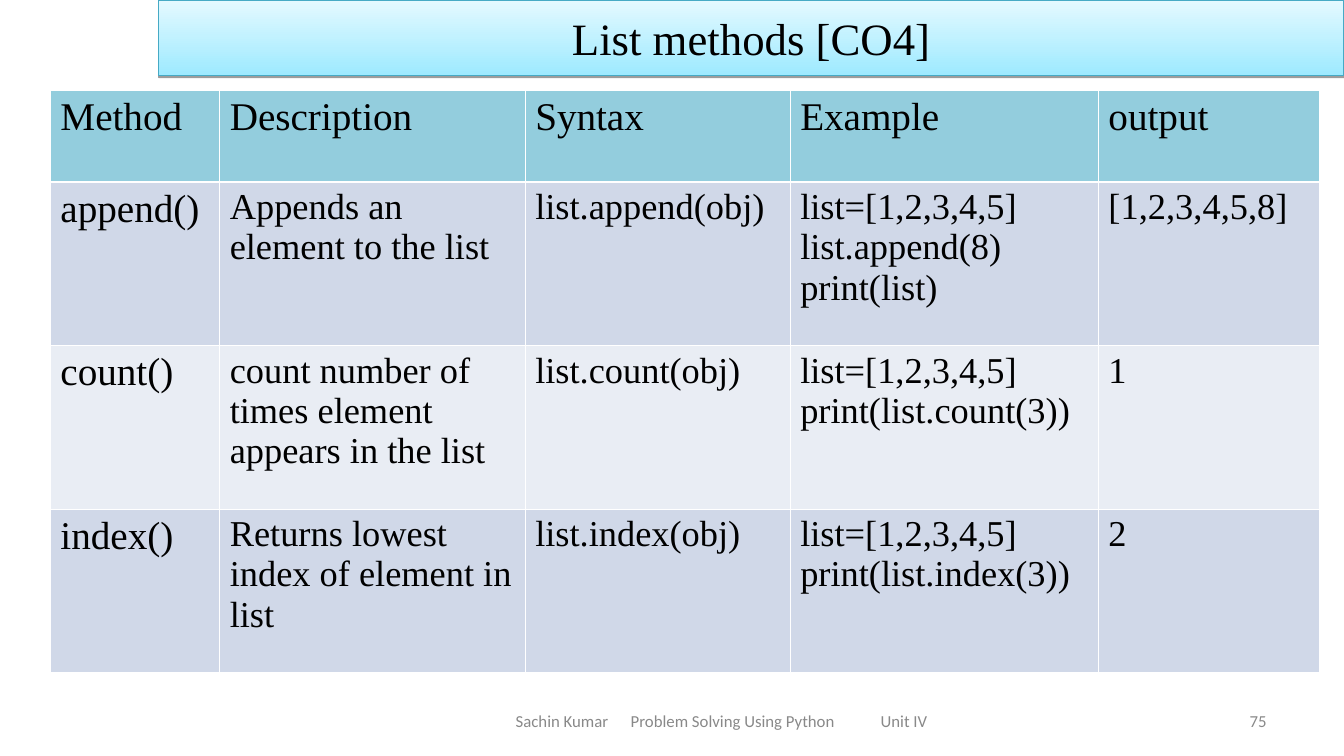
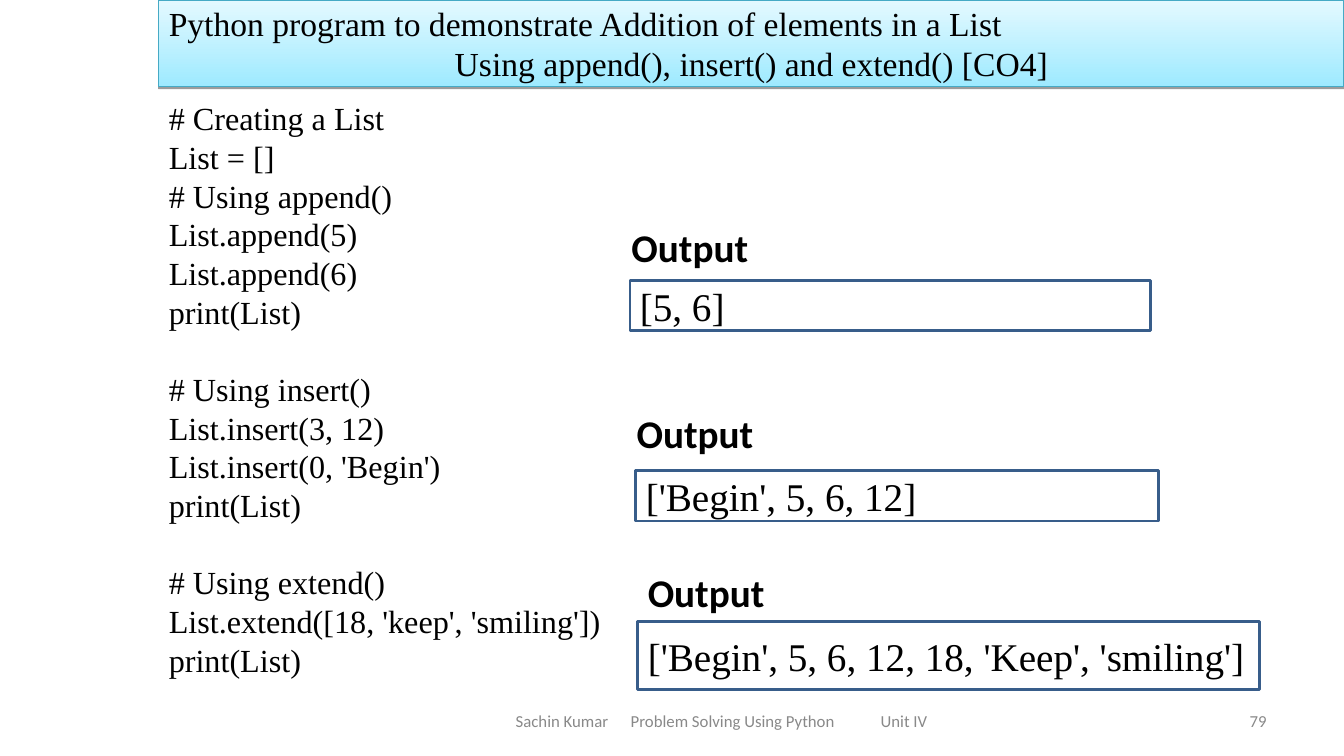
"""Builds two lecture slides on Python list methods."""
from lxml import etree
from pptx import Presentation
from pptx.dml.color import RGBColor
from pptx.enum.shapes import MSO_SHAPE
from pptx.enum.text import MSO_ANCHOR, MSO_AUTO_SIZE, PP_ALIGN
from pptx.oxml import parse_xml
from pptx.oxml.ns import nsdecls, qn
from pptx.util import Cm, Pt

LEFT, CENTER, RIGHT = PP_ALIGN.LEFT, PP_ALIGN.CENTER, PP_ALIGN.RIGHT
TOP, MIDDLE = MSO_ANCHOR.TOP, MSO_ANCHOR.MIDDLE
NO_FIT, RECTANGLE = MSO_AUTO_SIZE.NONE, MSO_SHAPE.RECTANGLE
SERIF, SANS = "Times New Roman", "Calibri"
CONTENT_LAYOUT, TITLE_LAYOUT = 1, 5
WIDTH, HEIGHT, BAND_LEFT = 33.88, 19.05, 4
COLORS = {
    "text": "000000", "muted": "898989", "white": "FFFFFF",
    "band_low": "9EEAFF", "band_high": "E4F9FF", "band_line": "46AAC5",
    "output_line": "385D8A", "header": "93CDDD", "odd": "D0D8E8", "even": "E9EDF4",
}
FOOTER = ["Sachin Kumar", "\tProblem Solving Using Python", "\tUnit IV"]
FOOTER_TABS = [2.9, 9.2]


def rgb(name):
    return RGBColor.from_string(COLORS[name])


class Lecture:
    """Holds the deck style and the current slide."""

    def __init__(self):
        self.deck = Presentation()
        self.deck.slide_width, self.deck.slide_height = Cm(WIDTH), Cm(HEIGHT)
        self.slide = None

    def place(self, shape, left, top, width, height):
        shape.left, shape.top = Cm(left), Cm(top)
        shape.width, shape.height = Cm(width), Cm(height)

    def frame(self, shape, anchor):
        frame = shape.text_frame
        frame.word_wrap, frame.auto_size = True, NO_FIT
        frame.vertical_anchor = anchor
        return frame

    def paragraph(self, frame, index, runs, size, font=SERIF, color="text", bold=False,
                  align=LEFT, tabs=(), plain=False, leading=None, before=None):
        line = frame.paragraphs[0] if index == 0 else frame.add_paragraph()
        props = line._p.get_or_add_pPr()
        if plain:
            props.set("marL", "0")
            props.set("indent", "0")
            etree.SubElement(props, qn("a:buNone"))
        if tabs:
            stops = etree.SubElement(props, qn("a:tabLst"))
            for stop in tabs:
                etree.SubElement(stops, qn("a:tab"), pos=str(Cm(stop)), algn="l")
        line.alignment = align
        if leading:
            line.line_spacing = Pt(leading)
        if before is not None:
            line.space_before = Pt(before)
        for words in runs:
            run = line.add_run()
            run.text = words
            run.font.name, run.font.size, run.font.bold = font, Pt(size), bold
            run.font.color.rgb = rgb(color)

    def text(self, left, top, width, height, runs, size, anchor=TOP, **style):
        box = self.slide.shapes.add_textbox(Cm(left), Cm(top), Cm(width), Cm(height))
        self.paragraph(self.frame(box, anchor), 0, runs, size, **style)

    def start(self, layout, number, title_lines, size, band_height):
        self.slide = self.deck.slides.add_slide(self.deck.slide_layouts[layout])
        self.band(title_lines, size, band_height)
        muted = {"font": SANS, "color": "muted", "anchor": MIDDLE}
        self.text(12.75, 17.65, 12.5, 1.02, FOOTER, 12, tabs=FOOTER_TABS, **muted)
        self.text(24.28, 17.65, 7.9, 1.02, [number], 12, align=RIGHT, **muted)

    def band(self, lines, size, height):
        band = self.slide.shapes.title
        self.place(band, BAND_LEFT, 0, WIDTH - BAND_LEFT, height)
        band.fill.gradient()
        band.fill.gradient_angle = 90
        for stop, name in zip(band.fill.gradient_stops, ("band_low", "band_high")):
            stop.color.rgb = rgb(name)
        band.line.color.rgb, band.line.width = rgb("band_line"), Pt(0.75)
        band._element.spPr.append(parse_xml(
            f'<a:effectLst {nsdecls("a")}><a:outerShdw dist="20320" dir="5400000" '
            f'rotWithShape="0"><a:srgbClr val="{COLORS["text"]}"><a:alpha val="38000"/>'
            '</a:srgbClr></a:outerShdw></a:effectLst>'))
        frame = self.frame(band, MIDDLE)
        for index, (words, align) in enumerate(lines):
            self.paragraph(frame, index, [words], size, align=align,
                           leading=1.2 * size if len(lines) > 1 else None)

    def code(self, left, top, width, height, blocks, size):
        body = self.slide.placeholders[1]
        self.place(body, left, top, width, height)
        frame = self.frame(body, TOP)
        leading = 1.2 * size
        index = 0
        for block in blocks:
            for position, words in enumerate(block):
                gap = leading if index and position == 0 else 0
                self.paragraph(frame, index, [words], size, plain=True,
                               leading=leading, before=gap)
                index += 1

    def output(self, label_at, box_at, result):
        box = self.slide.shapes.add_shape(RECTANGLE, *map(Cm, box_at))
        box.shadow.inherit = False
        box.fill.solid()
        box.fill.fore_color.rgb = rgb("white")
        box.line.color.rgb, box.line.width = rgb("output_line"), Pt(2)
        self.paragraph(self.frame(box, MIDDLE), 0, [result], 28)
        self.text(*label_at, 4.11, 1.45, ["Output"], 28, font=SANS, bold=True)

    def borders(self, cell, row):
        props = cell._tc.get_or_add_tcPr()
        for index, side in enumerate("LRTB"):
            heavy = (row, side) in ((0, "B"), (1, "T"))
            props.insert(index, parse_xml(
                f'<a:ln{side} {nsdecls("a")} w="{Pt(1.47 if heavy else 0.45)}"><a:solidFill>'
                f'<a:srgbClr val="{COLORS["white"]}"/></a:solidFill></a:ln{side}>'))

    def table(self, left, top, widths, heights, rows):
        table = self.slide.shapes.add_table(
            len(rows), len(widths), Cm(left), Cm(top),
            Cm(sum(widths)), Cm(sum(heights))).table
        table.first_row = table.horz_banding = False
        for column, width in zip(table.columns, widths):
            column.width = Cm(width)
        for r, (row, height) in enumerate(zip(rows, heights)):
            table.rows[r].height = Cm(height)
            for c, content in enumerate(row):
                cell = table.cell(r, c)
                cell.fill.solid()
                cell.fill.fore_color.rgb = rgb(
                    "header" if r == 0 else "odd" if r % 2 else "even")
                self.borders(cell, r)
                for index, words in enumerate(content.split("\n")):
                    self.paragraph(cell.text_frame, index, [words],
                                   28 if r == 0 or c == 0 else 26)


METHODS = [
    ["Method", "Description", "Syntax", "Example", "output"],
    ["append()", "Appends an element to the list", "list.append(obj)",
     "list=[1,2,3,4,5]\nlist.append(8)\nprint(list)", "[1,2,3,4,5,8]"],
    ["count()", "count number of times element appears in the list", "list.count(obj)",
     "list=[1,2,3,4,5]\nprint(list.count(3))", "1"],
    ["index()", "Returns lowest index of element in list", "list.index(obj)",
     "list=[1,2,3,4,5]\nprint(list.index(3))", "2"],
]
PROGRAM = [
    ["# Creating a List", "List = []", "# Using append()", "List.append(5)",
     "List.append(6)", "print(List)"],
    ["# Using insert()", "List.insert(3, 12)", "List.insert(0, 'Begin')", "print(List)"],
    ["# Using extend()", "List.extend([18, 'keep', 'smiling'])", "print(List)"],
]
OUTPUTS = [
    ((15.67, 5.51), (15.88, 7.06, 13.13, 1.27), "[5, 6]"),
    ((15.8, 10.19), (16.03, 11.86, 13.18, 1.27), "['Begin', 5, 6, 12]"),
    ((16.08, 14.2), (16.08, 15.67, 15.67, 1.7),
     "['Begin', 5, 6, 12, 18, 'Keep', 'smiling']"),
]


def main():
    lecture = Lecture()
    lecture.start(TITLE_LAYOUT, "75", [("List methods [CO4]", CENTER)], 32, 1.9)
    lecture.table(1.27, 2.28, [4.27, 7.7, 6.68, 7.77, 5.56],
                  [2.31, 4.12, 4.12, 4.12], METHODS)

    lecture.start(CONTENT_LAYOUT, "79", [
        ("Python program to demonstrate Addition of elements in a List", LEFT),
        ("Using append(), insert() and extend() [CO4]", CENTER)], 24, 2.18)
    lecture.code(BAND_LEFT, 2.36, 24.26, 14.94, PROGRAM, 23)
    for label_at, box_at, result in OUTPUTS:
        lecture.output(label_at, box_at, result)
    lecture.deck.save("out.pptx")


if __name__ == "__main__":
    main()
